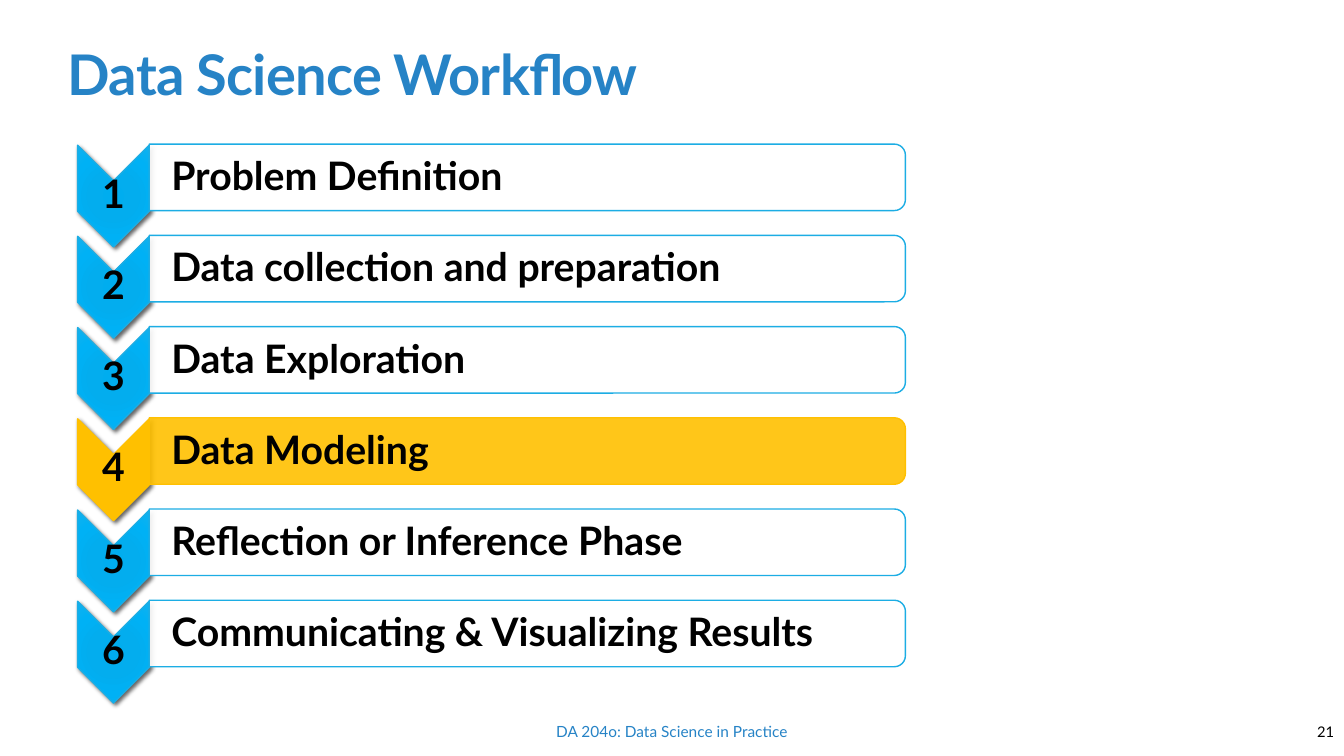
from lxml.etree import SubElement
from pptx import Presentation
from pptx.dml.color import RGBColor
from pptx.enum.shapes import MSO_SHAPE
from pptx.enum.text import MSO_ANCHOR, MSO_AUTO_SIZE, PP_ALIGN
from pptx.oxml.ns import qn
from pptx.util import Inches, Pt

CHEVRON = MSO_SHAPE.CHEVRON
BAR = MSO_SHAPE.ROUND_2_SAME_RECTANGLE
MIDDLE, BOTTOM = MSO_ANCHOR.MIDDLE, MSO_ANCHOR.BOTTOM
LEFT, CENTER, RIGHT = PP_ALIGN.LEFT, PP_ALIGN.CENTER, PP_ALIGN.RIGHT
FIXED = MSO_AUTO_SIZE.NONE

BLUE, CYAN, GOLD = "2683C6", "1CADE4", "FFC000"
BLACK, WHITE = "000000", "FFFFFF"
STOPS = [(0, "00ADEF"), (34, "03ADEE"), (70, "00B1F5"), (100, "12B1EE")]
STEPS = [
    "Problem Definition",
    "Data collection and preparation",
    "Data Exploration",
    "Data Modeling",
    "Reflection or Inference Phase",
    "Communicating & Visualizing Results",
]
ACTIVE = 4
TOP, PITCH = 1.59, 0.905


def write(box, text, size, color, bold=False, align=LEFT, anchor=MIDDLE, inset=None):
    frame = box.text_frame
    frame.word_wrap = True
    frame.auto_size = FIXED
    frame.vertical_anchor = anchor
    if inset is not None:
        frame.margin_left = Inches(inset)
        frame.margin_right = frame.margin_top = frame.margin_bottom = Inches(0.02)
    para = frame.paragraphs[0]
    para.alignment = align
    run = para.add_run()
    run.text = text
    run.font.name = "Lato"
    run.font.size = Pt(size)
    run.font.bold = bold
    run.font.color.rgb = RGBColor.from_string(color)
    return run


def turned(kind, place, fill, line):
    shape = slide.shapes.add_shape(kind, *map(Inches, place))
    shape.rotation = 90
    shape.fill.solid()
    shape.fill.fore_color.rgb = RGBColor.from_string(fill)
    shape.line.color.rgb = RGBColor.from_string(line)
    shape.line.width = Pt(1)
    shape.shadow.inherit = False
    return shape


deck = Presentation()
deck.slide_width, deck.slide_height = Inches(13.33), Inches(7.5)
slide = deck.slides.add_slide(deck.slide_layouts[5])

title = slide.shapes.title
title.left, title.top, title.width, title.height = map(Inches, (0.57, 0.02, 12.28, 1.09))
run = write(title, "Data Science Workflow", 40, BLUE, True, anchor=BOTTOM)
run.font._element.set("spc", "-50")
title.text_frame.paragraphs[0].line_spacing = 0.85

footer = slide.shapes.add_textbox(*map(Inches, (4.03, 7.06, 5.27, 0.4)))
write(footer, "DA 204o: Data Science in Practice", 11, BLUE, align=CENTER)
page = slide.shapes.add_textbox(*map(Inches, (11.9, 7.06, 1.43, 0.4)))
write(page, "21", 10.5, BLACK, align=RIGHT)

for num, step in enumerate(STEPS, 1):
    top = TOP + (num - 1) * PITCH
    active = num == ACTIVE
    line = GOLD if active else CYAN

    arrow = turned(CHEVRON, (0.62, top, 1.01, 0.71), line, line)
    if not active:
        arrow.fill.gradient()
        grad = arrow._element.spPr.find(qn("a:gradFill"))
        for child in list(grad):
            grad.remove(child)
        stops = SubElement(grad, qn("a:gsLst"))
        for pos, color in STOPS:
            stop = SubElement(stops, qn("a:gs"), pos=str(pos * 1000))
            SubElement(stop, qn("a:srgbClr"), val=color)
        round_fill = SubElement(grad, qn("a:path"), {"path": "circle"})
        SubElement(round_fill, qn("a:fillToRect"), l="100000", t="100000", r="100000", b="100000")
    effects = arrow._element.spPr.find(qn("a:effectLst"))
    shadow = SubElement(effects, qn("a:outerShdw"), blurRad=str(Pt(3)), dist=str(Pt(2)),
                        dir="2700000", algn="ctr", rotWithShape="0")
    tint = SubElement(shadow, qn("a:srgbClr"), val=BLACK)
    SubElement(tint, qn("a:alpha"), val="60000")

    digit = slide.shapes.add_textbox(*map(Inches, (0.77, top + 0.2, 0.71, 0.3)))
    write(digit, str(num), 28, BLACK, True, CENTER, inset=0.02)

    bar = turned(BAR, (4.9, top - 3.58, 0.66, 7.5), GOLD if active else WHITE, line)
    hue = bar._element.spPr.find(qn("a:solidFill"))[0]
    SubElement(hue, qn("a:alpha"), val="90000")

    label = slide.shapes.add_textbox(*map(Inches, (1.48, top - 0.12, 7.47, 0.59)))
    write(label, step, 28, BLACK, True, inset=0.22)
    for box in (digit, label):
        box.text_frame.paragraphs[0].line_spacing = 0.9

deck.save("out.pptx")
